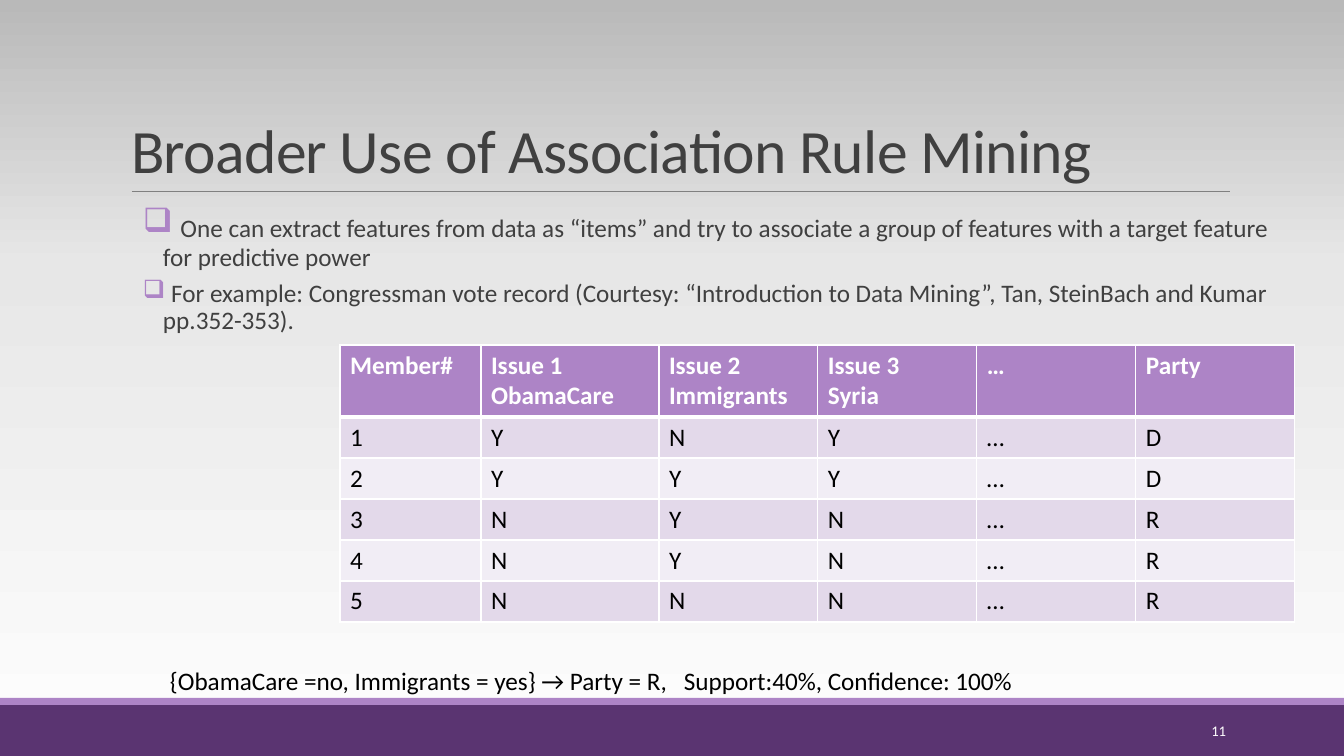
from copy import deepcopy

from lxml.etree import SubElement
from pptx import Presentation
from pptx.dml.color import RGBColor
from pptx.enum.shapes import MSO_CONNECTOR, MSO_SHAPE
from pptx.enum.text import MSO_ANCHOR, MSO_AUTO_SIZE, PP_ALIGN
from pptx.oxml.ns import qn
from pptx.util import Emu, Pt

SCALE = 914400 / 100.8
FONT = "Calibri"
WHITE = RGBColor(0xFF, 0xFF, 0xFF)
BLACK = RGBColor(0, 0, 0)
GREY = RGBColor(0x40, 0x40, 0x40)
RULE = RGBColor(0x80, 0x80, 0x80)
PURPLE = RGBColor(0x5A, 0x34, 0x71)
LILAC = RGBColor(0xAD, 0x84, 0xC6)
BANDS = RGBColor(0xE3, 0xD9, 0xEA), RGBColor(0xF1, 0xED, 0xF5)
GRADIENT = (
    (0, RGBColor(0xFE, 0xFE, 0xFE)),
    (0.65, RGBColor(0xE7, 0xE7, 0xE7)),
    (1, RGBColor(0xB9, 0xB9, 0xB9)),
)
POINTS = (
    "One can extract features from data as “items” and try to associate a group of "
    "features with a target feature for predictive power",
    "For example: Congressman vote record (Courtesy: “Introduction to Data Mining”, "
    "Tan, SteinBach and Kumar pp.352-353).",
)
HEADINGS = ("Member#", "Issue 1\nObamaCare", "Issue 2\nImmigrants", "Issue 3\nSyria", "…", "Party")
VOTES = ("YNY…D", "YYY…D", "NYN…R", "NYN…R", "NNN…R")
COLUMNS = (141, 178, 159, 159, 159, 159)
HEADER_HEIGHT, ROW_HEIGHT = 72, 41


def px(n):
    """Turn pixels into EMU."""
    return Emu(round(n * SCALE))


def box(*lengths):
    """Turn a pixel box into EMU."""
    return [px(n) for n in lengths]


def apply(target, values):
    """Set each attribute of a target from a dict."""
    for name, value in values.items():
        setattr(target, name, value)


def add_run(p, text, size, color, bold=False):
    """Add a formatted run to a paragraph."""
    r = p.add_run()
    r.text = text
    apply(r.font, {"name": FONT, "size": Pt(size), "bold": bold})
    r.font.color.rgb = color
    return r


def add_background(s):
    """Fill the slide with a vertical grey gradient."""
    fill = s.background.fill
    fill.gradient()
    fill.gradient_angle = 90
    stops = s.element.find(".//" + qn("a:gsLst"))
    stops.append(deepcopy(stops[-1]))
    for stop, (position, color) in zip(fill.gradient_stops, GRADIENT):
        stop.position = position
        stop.color.rgb = color


def add_footer(s, x, y, w, h, number):
    """Draw the footer bands and the slide number."""
    strip = 7
    for top, height, color in ((y + strip, h - strip, PURPLE), (y, strip, LILAC)):
        band = s.shapes.add_shape(MSO_SHAPE.RECTANGLE, *box(x, top, w, height))
        band.shadow.inherit = False
        band.fill.solid()
        band.fill.fore_color.rgb = color
        band.line.fill.background()
    tf = s.shapes.add_textbox(*box(x + w - 252, y + 13, 144, 40)).text_frame
    apply(tf, {"word_wrap": True, "vertical_anchor": MSO_ANCHOR.MIDDLE})
    p = tf.paragraphs[0]
    p.alignment = PP_ALIGN.RIGHT
    add_run(p, number, 10.5, WHITE)


def add_title(s, x, y, w, h, text):
    """Place the title and the rule under it."""
    sp = s.shapes.title
    apply(sp, dict(zip(("left", "top", "width", "height"), box(x, y, w, h))))
    tf = sp.text_frame
    apply(tf, {"word_wrap": True, "auto_size": MSO_AUTO_SIZE.NONE,
               "vertical_anchor": MSO_ANCHOR.BOTTOM})
    p = tf.paragraphs[0]
    apply(p, {"alignment": PP_ALIGN.LEFT, "line_spacing": 0.85})
    r = add_run(p, text, 44, GREY)
    r.font._element.set("spc", "-50")
    line = s.shapes.add_connector(
        MSO_CONNECTOR.STRAIGHT, *box(x + 11, y + h, x + w - 11, y + h))
    line.line.color.rgb = RULE
    line.line.width = Pt(0.5)
    SubElement(line._element.spPr, qn("a:effectLst"))


def add_points(s, x, y, w, h):
    """Write the bulleted points."""
    tf = s.shapes.add_textbox(*box(x, y, w, h)).text_frame
    apply(tf, {"word_wrap": True, "margin_left": 0, "margin_right": 0})
    for i, (text, space_size) in enumerate(zip(POINTS, (24, 18))):
        p = tf.add_paragraph() if i else tf.paragraphs[0]
        apply(p, {"line_spacing": 0.9, "space_before": Pt(2), "space_after": Pt(4)})
        add_run(p, " ", space_size, GREY)
        add_run(p, text, 18, GREY)
        pPr = p._p.get_or_add_pPr()
        pPr.set("marL", str(px(42)))
        pPr.set("indent", str(px(-20)))
        SubElement(SubElement(pPr, qn("a:buClr")), qn("a:srgbClr"), val=str(LILAC))
        SubElement(pPr, qn("a:buChar"), char="❑")


def format_cell(cell, text, header, fill, bottom):
    """Write one cell with its white borders and fill."""
    tcPr = cell._tc.get_or_add_tcPr()
    for side, width in (("L", 1), ("R", 1), ("T", 1), ("B", bottom)):
        ln = SubElement(tcPr, qn("a:ln" + side), w=str(Pt(width)))
        SubElement(SubElement(ln, qn("a:solidFill")), qn("a:srgbClr"), val=str(WHITE))
    cell.fill.solid()
    cell.fill.fore_color.rgb = fill
    tf = cell.text_frame
    for i, part in enumerate(text.split("\n")):
        p = tf.add_paragraph() if i else tf.paragraphs[0]
        add_run(p, part, 18, WHITE if header else BLACK, header)


def add_votes(s, x, y):
    """Build the vote record table."""
    rows = [HEADINGS] + [(str(i), *votes) for i, votes in enumerate(VOTES, 1)]
    height = HEADER_HEIGHT + ROW_HEIGHT * len(VOTES)
    table = s.shapes.add_table(
        len(rows), len(COLUMNS), *box(x, y, sum(COLUMNS), height)).table
    for column, width in zip(table.columns, COLUMNS):
        column.width = px(width)
    for i, row in enumerate(rows):
        header = i == 0
        table.rows[i].height = px(HEADER_HEIGHT if header else ROW_HEIGHT)
        fill = LILAC if header else BANDS[(i - 1) % 2]
        for j, text in enumerate(row):
            format_cell(table.cell(i, j), text, header, fill, 3 if header else 1)


def add_rule(s, x, y, w, h):
    """Write the mined rule with its measures at a tab stop."""
    tf = s.shapes.add_textbox(*box(x, y, w, h)).text_frame
    tf.word_wrap = False
    p = tf.paragraphs[0]
    add_run(p, "{ObamaCare =no, Immigrants = yes} → Party = R,\t"
               "Support:40%, Confidence: 100%", 18, BLACK)
    tabs = SubElement(p._p.get_or_add_pPr(), qn("a:tabLst"))
    SubElement(tabs, qn("a:tab"), pos=str(px(514)), algn="l")


def main():
    """Build the slide and save it."""
    prs = Presentation()
    apply(prs, {"slide_width": px(1344), "slide_height": px(756)})
    s = prs.slides.add_slide(prs.slide_layouts[5])
    add_background(s)
    add_footer(s, 0, 698, 1344, 58, "11")
    add_title(s, 121, 31, 1120, 160, "Broader Use of Association Rule Mining")
    add_points(s, 121, 204, 1174, 444)
    add_votes(s, 340, 345)
    add_rule(s, 160, 660, 887, 40)
    prs.save("out.pptx")


if __name__ == "__main__":
    main()
